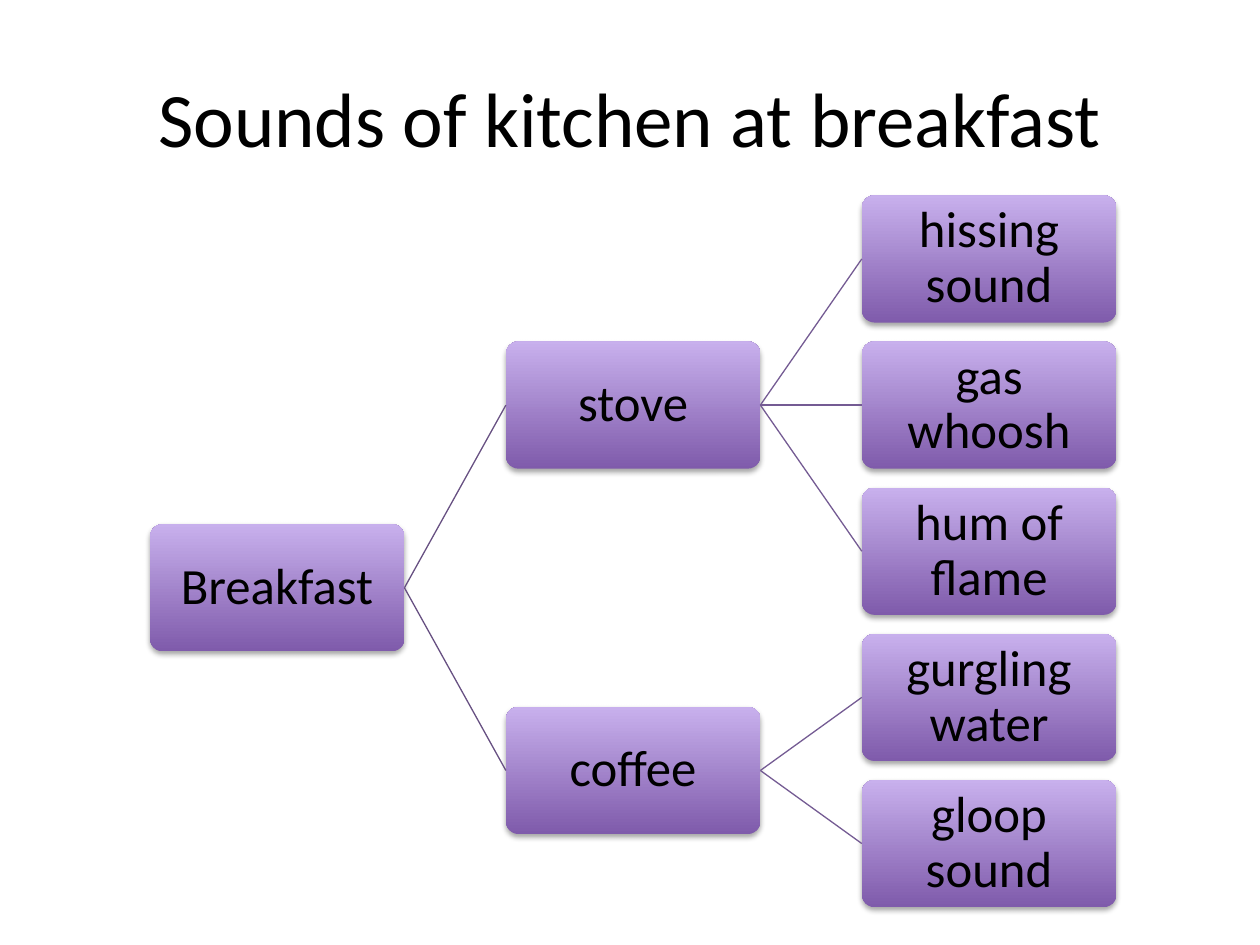
from lxml.etree import SubElement
from pptx import Presentation
from pptx.dml.color import RGBColor
from pptx.enum.shapes import MSO_CONNECTOR, MSO_SHAPE
from pptx.enum.text import MSO_ANCHOR, PP_ALIGN
from pptx.oxml.ns import qn
from pptx.util import Inches, Pt


def rgb(code):
    return RGBColor.from_string(code)


def write(shape, text, size=29, color="000000", spacing=0.9, inset=0.05):
    frame = shape.text_frame
    frame.word_wrap = True
    frame.vertical_anchor = MSO_ANCHOR.MIDDLE
    frame.margin_left = frame.margin_right = Inches(inset)
    frame.margin_top = frame.margin_bottom = Inches(inset)
    para = frame.paragraphs[0]
    para.text = text
    para.alignment = PP_ALIGN.CENTER
    para.line_spacing = spacing
    para.font.size = Pt(size)
    para.font.name = "Calibri"
    para.font.color.rgb = rgb(color)


deck = Presentation()
deck.slide_width, deck.slide_height = Inches(10), Inches(7.5)
slide = deck.slides.add_slide(deck.slide_layouts[5])

title = slide.shapes.title
title.left, title.top = Inches(0.5), Inches(0.3)
title.width, title.height = Inches(9), Inches(1.25)
write(title, "Sounds of kitchen at breakfast", size=44, spacing=1, inset=0.1)

tree = {
    "stove": ["hissing sound", "gas whoosh", "hum of flame"],
    "coffee": ["gurgling water", "gloop sound"],
}
left, top, step, pitch = 1.19, 1.55, 2.825, 1.16
nodes, links = [], []
row = 0
for branch, leaves in tree.items():
    nodes.append((branch, 1, row + (len(leaves) - 1) / 2))
    links.append(("Breakfast", branch, "675082"))
    for leaf in leaves:
        nodes.append((leaf, 2, row))
        links.append((branch, leaf, "745B93"))
        row += 1
middle = sum(place for _, level, place in nodes if level == 1) / len(tree)
nodes.insert(0, ("Breakfast", 0, middle))

boxes = {}
for text, level, place in nodes:
    box = slide.shapes.add_shape(
        MSO_SHAPE.ROUNDED_RECTANGLE,
        Inches(left + level * step), Inches(top + place * pitch),
        Inches(2.02), Inches(1.01))
    box.adjustments[0] = 0.1
    box.fill.gradient()
    box.fill.gradient_angle = 90
    for stop, color in zip(box.fill.gradient_stops, ("7F5BAB", "C8B0ED")):
        stop.color.rgb = rgb(color)
    box.line.fill.background()
    box.shadow.inherit = False
    effects = box._element.spPr.find(qn("a:effectLst"))
    shade = SubElement(effects, qn("a:outerShdw"), blurRad=str(Pt(3.1)),
                       dist=str(Pt(1.8)), dir="5400000", rotWithShape="0")
    black = SubElement(shade, qn("a:srgbClr"), val="000000")
    SubElement(black, qn("a:alpha"), val="35000")
    write(box, text)
    boxes[text] = box

for start, end, color in links:
    link = slide.shapes.add_connector(MSO_CONNECTOR.STRAIGHT, 0, 0, 0, 0)
    link.begin_connect(boxes[start], 3)
    link.end_connect(boxes[end], 1)
    link.line.color.rgb = rgb(color)
    link.line.width = Pt(0.75)
    SubElement(link._element.spPr, qn("a:effectLst"))

deck.save("out.pptx")
